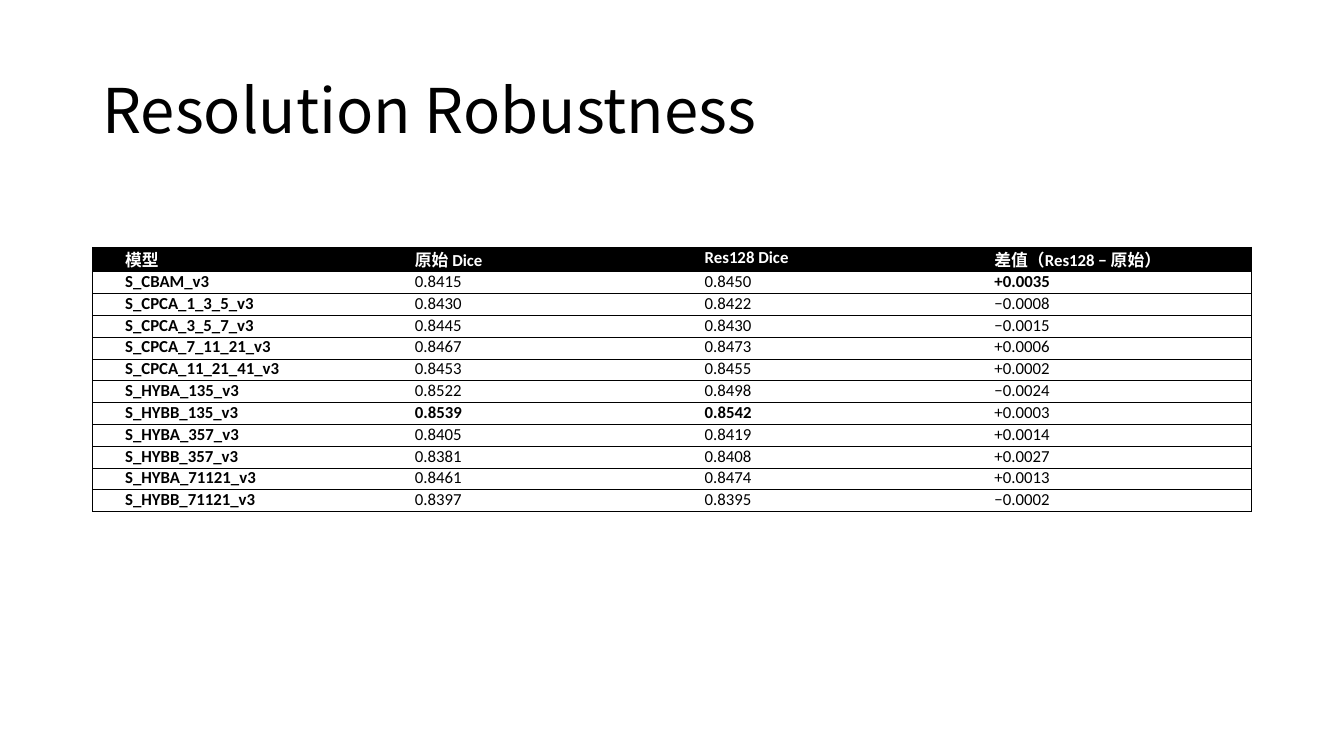
"""Build the Resolution Robustness slide with its table of Dice scores."""
from dataclasses import dataclass

from lxml import etree
from pptx import Presentation
from pptx.dml.color import RGBColor
from pptx.enum.text import MSO_ANCHOR, MSO_AUTO_SIZE, PP_ALIGN
from pptx.oxml.ns import qn
from pptx.slide import Slide
from pptx.table import _Cell
from pptx.util import Pt

MIDDLE = MSO_ANCHOR.MIDDLE
TOP = MSO_ANCHOR.TOP
LEFT = PP_ALIGN.LEFT
NO_AUTOFIT = MSO_AUTO_SIZE.NONE

BLACK = RGBColor(0x00, 0x00, 0x00)
WHITE = RGBColor(0xFF, 0xFF, 0xFF)
LATIN_FONT = "Calibri"
CJK_FONT = "Noto Sans CJK SC"

MARGIN = Pt(66)
CONTENT_WIDTH = Pt(828)
TABLE_TOP = Pt(176.5)
ROW_HEIGHT = Pt(15.6)
CELL_INSET = Pt(5.4)
CELL_INDENT = Pt(18)
BORDER_WIDTH = Pt(0.5)


@dataclass(frozen=True)
class Score:
    """One model's Dice scores, with the columns shown in bold."""

    model: str
    base: str
    res128: str
    change: str
    bold_columns: tuple[int, ...] = (0,)

    def values(self) -> tuple[str, ...]:
        return self.model, self.base, self.res128, self.change


HEADER = Score("模型", "原始 Dice", "Res128 Dice", "差值（Res128 − 原始）", (0, 1, 2, 3))
SCORES = (
    Score("S_CBAM_v3", "0.8415", "0.8450", "+0.0035", (0, 3)),
    Score("S_CPCA_1_3_5_v3", "0.8430", "0.8422", "−0.0008"),
    Score("S_CPCA_3_5_7_v3", "0.8445", "0.8430", "−0.0015"),
    Score("S_CPCA_7_11_21_v3", "0.8467", "0.8473", "+0.0006"),
    Score("S_CPCA_11_21_41_v3", "0.8453", "0.8455", "+0.0002"),
    Score("S_HYBA_135_v3", "0.8522", "0.8498", "−0.0024"),
    Score("S_HYBB_135_v3", "0.8539", "0.8542", "+0.0003", (0, 1, 2)),
    Score("S_HYBA_357_v3", "0.8405", "0.8419", "+0.0014"),
    Score("S_HYBB_357_v3", "0.8381", "0.8408", "+0.0027"),
    Score("S_HYBA_71121_v3", "0.8461", "0.8474", "+0.0013"),
    Score("S_HYBB_71121_v3", "0.8397", "0.8395", "−0.0002"),
)


def add_title(slide: Slide, text: str) -> None:
    title = slide.shapes.title
    title.left, title.top = MARGIN, Pt(28.75)
    title.width, title.height = CONTENT_WIDTH, Pt(104.4)
    frame = title.text_frame
    frame.text = text
    frame.word_wrap = True
    frame.auto_size = NO_AUTOFIT
    frame.vertical_anchor = MIDDLE
    para = frame.paragraphs[0]
    para.alignment = LEFT
    para.line_spacing = 0.9
    font = para.runs[0].font
    font.name, font.size = CJK_FONT, Pt(44)
    font.color.rgb = BLACK


def add_borders(cell: _Cell, visible_sides: str) -> None:
    properties = cell._tc.get_or_add_tcPr()
    for side in "LRTB":
        line = etree.SubElement(properties, qn(f"a:ln{side}"), w=str(BORDER_WIDTH))
        if side in visible_sides:
            fill = etree.SubElement(line, qn("a:solidFill"))
            etree.SubElement(fill, qn("a:srgbClr"), val=str(BLACK))
        else:
            etree.SubElement(line, qn("a:noFill"))


def format_cell(cell: _Cell, text: str, bold: bool, is_header: bool) -> None:
    cell.margin_left = cell.margin_right = CELL_INSET
    cell.margin_top = cell.margin_bottom = 0
    cell.vertical_anchor = TOP
    if is_header:
        cell.fill.solid()
        cell.fill.fore_color.rgb = BLACK
    else:
        cell.fill.background()
    para = cell.text_frame.paragraphs[0]
    para.text = text
    para.alignment = LEFT
    para._p.get_or_add_pPr().set("marL", str(CELL_INDENT))
    span = para.runs[0]
    span.font.name, span.font.size, span.font.bold = LATIN_FONT, Pt(12), bold
    span.font.color.rgb = WHITE if is_header else BLACK
    etree.SubElement(span._r.get_or_add_rPr(), qn("a:ea"), typeface=CJK_FONT)


def add_score_table(slide: Slide, rows: tuple[Score, ...]) -> None:
    column_count = len(HEADER.values())
    table = slide.shapes.add_table(
        len(rows), column_count, MARGIN, TABLE_TOP, CONTENT_WIDTH, ROW_HEIGHT * len(rows)
    ).table
    table.horz_banding = False
    for row_index, score in enumerate(rows):
        table.rows[row_index].height = ROW_HEIGHT
        for column, text in enumerate(score.values()):
            cell = table.cell(row_index, column)
            outer_side = {0: "L", column_count - 1: "R"}.get(column, "")
            add_borders(cell, "TB" + outer_side)
            format_cell(cell, text, column in score.bold_columns, score is HEADER)


def main() -> None:
    deck = Presentation()
    deck.slide_width, deck.slide_height = Pt(960), Pt(540)
    slide = deck.slides.add_slide(deck.slide_layouts.get_by_name("Title Only"))
    add_title(slide, "Resolution Robustness")
    add_score_table(slide, (HEADER, *SCORES))
    deck.save("out.pptx")


if __name__ == "__main__":
    main()
